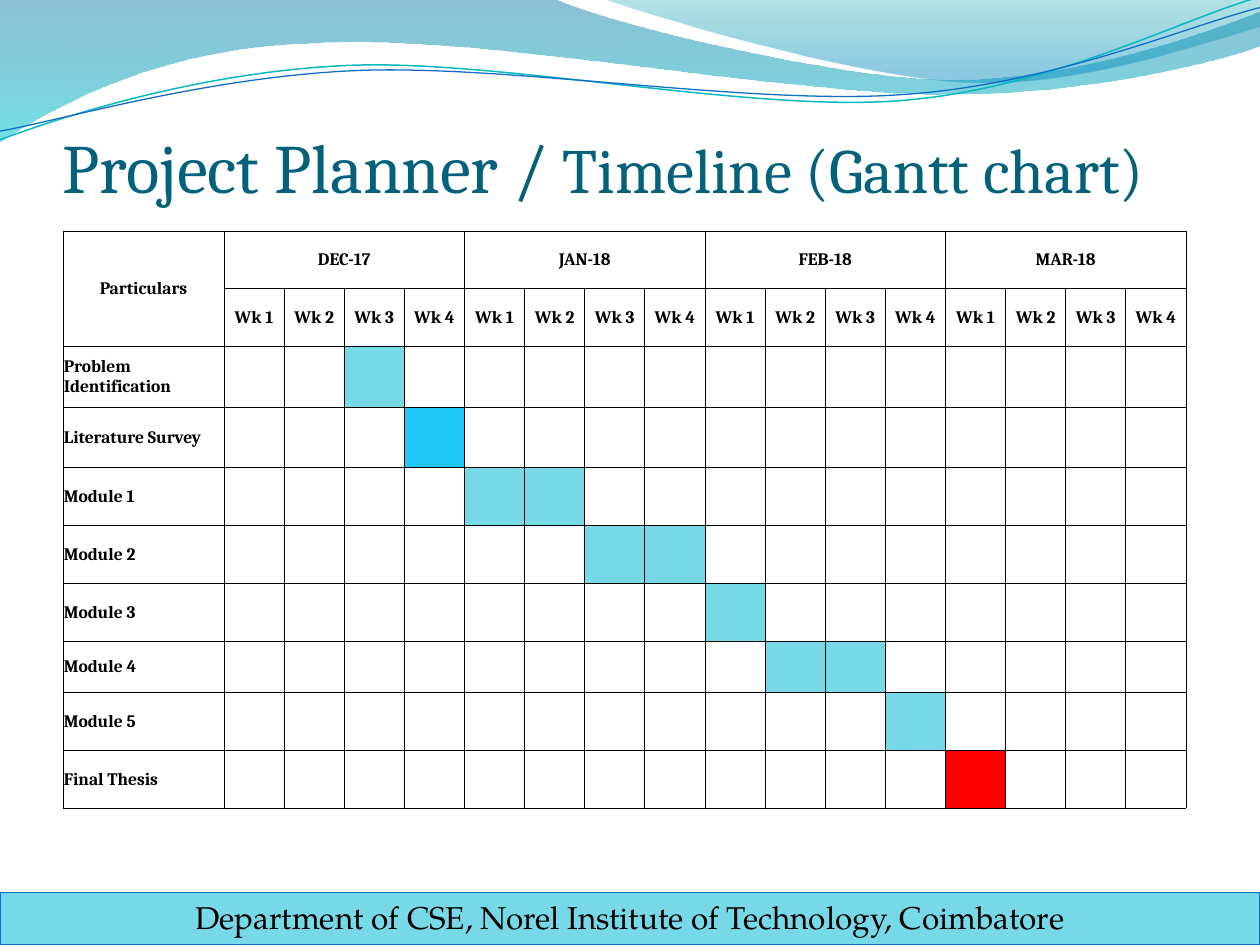
from lxml import etree
from pptx import Presentation
from pptx.dml.color import RGBColor
from pptx.enum.shapes import MSO_SHAPE
from pptx.enum.text import MSO_ANCHOR, PP_ALIGN
from pptx.oxml.ns import qn
from pptx.util import Pt

RECTANGLE = MSO_SHAPE.RECTANGLE
TOP, MIDDLE, BOTTOM = MSO_ANCHOR.TOP, MSO_ANCHOR.MIDDLE, MSO_ANCHOR.BOTTOM
LEFT, CENTER = PP_ALIGN.LEFT, PP_ALIGN.CENTER

COLORS = {
    "black": "000000", "title": "04617B", "blue": "0F6FC6", "teal": "0AB8BF",
    "aqua": "77D9E8", "sky": "20C9F8", "red": "FF0000",
    "wave_top": "0074A1", "wave_bottom": "00C6CF",
    "crest_top": "00A1A9", "crest_bottom": "008BBF",
}
HEADING_FONT, FOOTER_FONT = "Cambria", "TeX Gyre Pagella"


def rgb(name):
    return RGBColor.from_string(COLORS[name])


def write(frame, *runs, font=HEADING_FONT, color="black", bold=False,
          align=LEFT, anchor=MIDDLE):
    """Fill a text frame with one paragraph of (text, size) runs."""
    frame.word_wrap = True
    frame.vertical_anchor = anchor
    paragraph = frame.paragraphs[0]
    paragraph.alignment = align
    for text, size in runs:
        run = paragraph.add_run()
        run.text = text
        run.font.name, run.font.size, run.font.bold = font, Pt(size), bold
        run.font.color.rgb = rgb(color)


prs = Presentation()
prs.slide_width, prs.slide_height = Pt(720), Pt(540)
slide = prs.slides.add_slide(prs.slide_layouts[6])
shapes = slide.shapes

# Header waves: each segment is one point (straight) or three points (Bezier).
# A fill is a list of (position, colour, opacity in percent); a line is (colour, width).
waves = [
    {"start": (0, 0), "segments": [
        [(316.8, -0.7)],
        [(342.7, 12.2), (478.1, 45.4), (545.8, 45.4)],
        [(614.2, 45.4), (689.8, 18.7), (720, 6.5)],
        [(720.7, 25.9)],
        [(707.8, 31.7), (626.4, 54.7), (537.1, 54)],
        [(446.4, 54), (275, 20.2), (185, 24.5)],
        [(92.9, 25.9), (33.1, 59.8), (-0.7, 81.4)],
        [(0, 0)]],
     "fill": [(0, "wave_top", 45), (1, "wave_bottom", 55)]},
    {"start": (344.9, -0.7), "segments": [
        [(366.5, 7.9), (491, 44.6), (553.7, 46.8)],
        [(616.3, 49.7), (691.9, 23), (720, 15.1)],
        [(720, 0)],
        [(344.9, -0.7)]],
     "fill": [(0, "crest_top", 30), (0.8, "crest_bottom", 45)]},
    {"start": (0, 79.9), "segments": [
        [(34.6, 67), (113.8, 41), (199.4, 37.4)],
        [(284.4, 33.8), (427, 64.1), (513.4, 57.6)],
        [(599.8, 51.1), (675.4, 10.8), (718.6, -1.4)]],
     "line": ("teal", 0.85)},
    {"start": (0, 74.9), "segments": [
        [(33.8, 69.1), (118.1, 43.9), (203.8, 40.3)],
        [(290.2, 36.7), (429.8, 60.5), (516.2, 54)],
        [(601.9, 48.2), (677.5, 15.1), (720, 4.3)]],
     "line": ("blue", 0.75)},
]
for wave in waves:
    start_x, start_y = wave["start"]
    builder = shapes.build_freeform(Pt(start_x), Pt(start_y))
    builder.add_line_segments(
        [(Pt(x), Pt(y)) for segment in wave["segments"] for x, y in segment],
        close="fill" in wave)
    ribbon = builder.convert_to_shape()
    ribbon.shadow.inherit = False

    # Join the steps of each three-point segment into one Bezier curve.
    steps = iter(list(ribbon.element.spPr.iter(qn("a:lnTo"))))
    for segment in wave["segments"]:
        group = [next(steps) for _ in segment]
        if len(group) == 3:
            curve = etree.Element(qn("a:cubicBezTo"))
            group[0].addprevious(curve)
            for step in group:
                curve.append(step[0])
                step.getparent().remove(step)

    if "fill" in wave:
        ribbon.line.fill.background()
        ribbon.fill.gradient()
        ribbon.fill.gradient_angle = 270
        for stop, (position, color, _) in zip(ribbon.fill.gradient_stops, wave["fill"]):
            stop.position = position
            stop.color.rgb = rgb(color)
        tints = ribbon.element.spPr.iter(qn("a:srgbClr"))
        for tint, (_, _, opacity) in zip(tints, wave["fill"]):
            etree.SubElement(tint, qn("a:alpha"), val=str(opacity * 1000))
    else:
        color, width = wave["line"]
        ribbon.fill.background()
        ribbon.line.color.rgb = rgb(color)
        ribbon.line.width = Pt(width)

title = shapes.add_textbox(Pt(36), Pt(66), Pt(648), Pt(52.5)).text_frame
title.margin_left = title.margin_right = title.margin_bottom = 0
write(title, ("Project Planner / ", 39.6), ("Timeline (Gantt chart)", 36),
      color="title", anchor=BOTTOM)

footer = shapes.add_shape(RECTANGLE, 0, Pt(509.8), Pt(720), Pt(30.2))
footer.shadow.inherit = False
footer.fill.solid()
footer.fill.fore_color.rgb = rgb("aqua")
footer.line.color.rgb = rgb("blue")
footer.line.width = Pt(0.75)
write(footer.text_frame,
      ("Department of CSE, Norel Institute of Technology, Coimbatore", 18),
      font=FOOTER_FONT, align=CENTER, anchor=TOP)

# Gantt table: task, row height, active weeks (1 to 16), bar colour
months = ["DEC-17", "JAN-18", "FEB-18", "MAR-18"]
weeks_per_month = 4
tasks = [
    ("Problem Identification", 34.6, [3], "aqua"),
    ("Literature Survey", 34.6, [4], "sky"),
    ("Module 1", 33.1, [5, 6], "aqua"),
    ("Module 2", 33.1, [7, 8], "aqua"),
    ("Module 3", 33.1, [9], "aqua"),
    ("Module 4", 29.2, [10, 11], "aqua"),
    ("Module 5", 33.1, [12], "aqua"),
    ("Final Thesis", 33.1, [13], "red"),
]
week_count = len(months) * weeks_per_month
row_heights = [33, 33] + [height for _, height, _, _ in tasks]
column_widths = [92] + [34.36] * week_count
gantt = shapes.add_table(len(row_heights), len(column_widths), Pt(36), Pt(132),
                         Pt(sum(column_widths)), Pt(sum(row_heights))).table
gantt.first_row = gantt.horz_banding = False
for row, height in zip(gantt.rows, row_heights):
    row.height = Pt(height)
for column, width in zip(gantt.columns, column_widths):
    column.width = Pt(width)

for cell in gantt.iter_cells():
    cell.margin_left = cell.margin_right = cell.margin_top = Pt(0.5)
    cell.margin_bottom = 0
    cell.vertical_anchor = MIDDLE
    properties = cell._tc.get_or_add_tcPr()
    for side in ("a:lnL", "a:lnR", "a:lnT", "a:lnB"):
        border = etree.SubElement(properties, qn(side), w=str(Pt(0.5)))
        paint = etree.SubElement(border, qn("a:solidFill"))
        etree.SubElement(paint, qn("a:srgbClr"), val=COLORS["black"])
    cell.fill.background()

labels = [(0, 0, "Particulars", CENTER)]
gantt.cell(0, 0).merge(gantt.cell(1, 0))
for index, month in enumerate(months):
    first = 1 + index * weeks_per_month
    gantt.cell(0, first).merge(gantt.cell(0, first + weeks_per_month - 1))
    labels.append((0, first, month, CENTER))
    for week in range(weeks_per_month):
        labels.append((1, first + week, f"Wk {week + 1}", CENTER))
for row, (task, _, active_weeks, color) in enumerate(tasks, start=2):
    labels.append((row, 0, task, LEFT))
    for week in active_weeks:
        bar = gantt.cell(row, week).fill
        bar.solid()
        bar.fore_color.rgb = rgb(color)
for row, column, text, align in labels:
    cell = gantt.cell(row, column)
    write(cell.text_frame, (text, 10), bold=True, align=align)
    cell.vertical_anchor = MIDDLE

prs.save("out.pptx")
